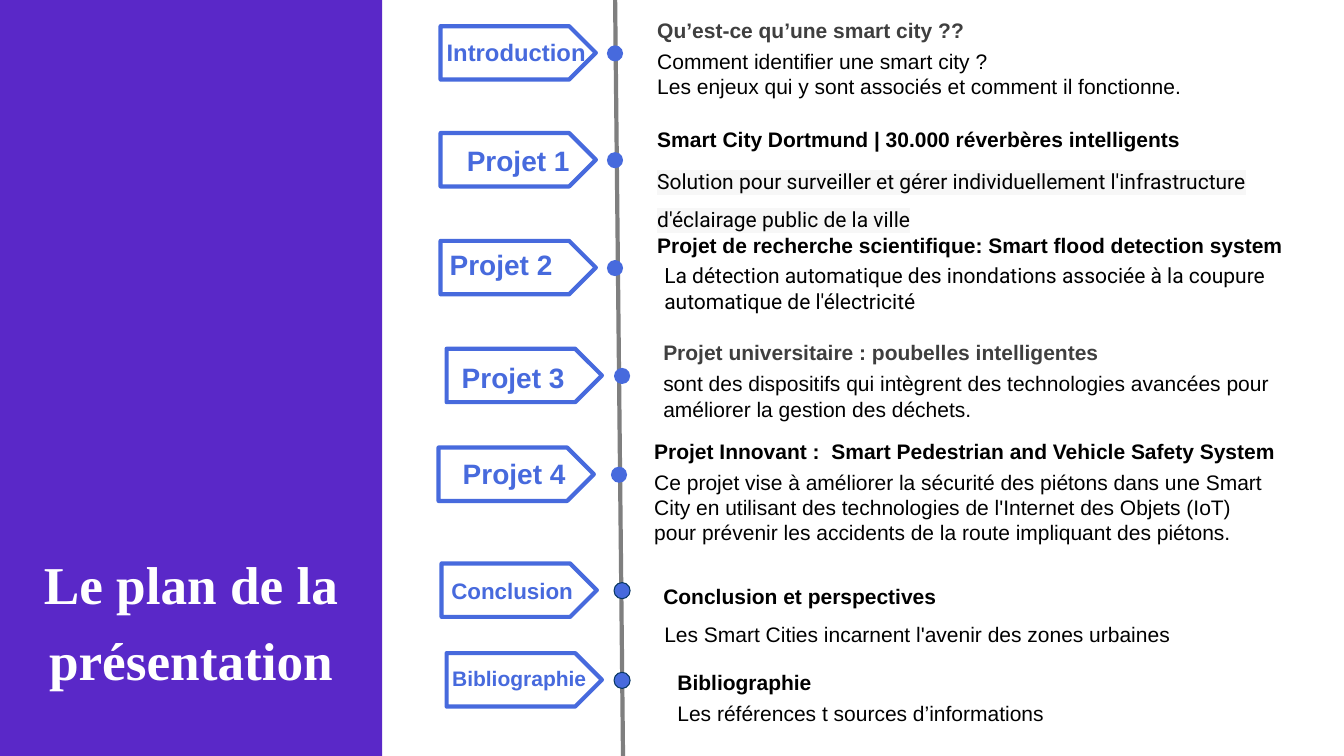
from dataclasses import dataclass

from lxml import etree
from pptx import Presentation
from pptx.dml.color import RGBColor
from pptx.enum.shapes import MSO_CONNECTOR, MSO_SHAPE
from pptx.enum.text import MSO_ANCHOR, PP_ALIGN
from pptx.oxml.ns import qn
from pptx.util import Inches, Pt

LINE = MSO_CONNECTOR.STRAIGHT
RECT, OVAL, ARROW = MSO_SHAPE.RECTANGLE, MSO_SHAPE.OVAL, MSO_SHAPE.PENTAGON
TOP, MIDDLE = MSO_ANCHOR.TOP, MSO_ANCHOR.MIDDLE
LEFT, CENTER = PP_ALIGN.LEFT, PP_ALIGN.CENTER

WHITE = RGBColor(0xFF, 0xFF, 0xFF)
BLACK = RGBColor(0x00, 0x00, 0x00)
DARK = RGBColor(0x3F, 0x3F, 0x3F)
GRAY = RGBColor(0x7F, 0x7F, 0x7F)
PALE = RGBColor(0xF7, 0xF7, 0xF7)
PURPLE = RGBColor(0x5A, 0x28, 0xC8)
BLUE = RGBColor(0x47, 0x6A, 0xDD)
NAVY = RGBColor(0x07, 0x37, 0x63)

ARROW_W, ARROW_H = 1.54, 0.53
DOT = 0.16
DOT_DROP = 0.19
TAG_H, HEAD_H = 0.44, 0.35
HEAD_W, BODY_W = 6.69, 6.32

Box = tuple[float, float, float, float]


@dataclass
class Style:
    size: float = 15
    color: RGBColor = BLACK
    bold: bool = False
    name: str = "Arial"
    align: PP_ALIGN = LEFT
    anchor: MSO_ANCHOR = TOP
    spacing: float = 1.0
    mark: RGBColor | None = None


@dataclass
class Step:
    """One stop of the timeline; tag is (left, top, width), the rest (left, top)."""
    label: str
    size: float
    tag: tuple[float, float, float]
    arrow: tuple[float, float]
    dot: float
    title: str
    head: tuple[float, float]
    text: str
    body: tuple[float, float]
    tall: float = 0.61
    tone: RGBColor = BLACK
    face: str = "Arial"
    spacing: float = 1.0
    mark: RGBColor | None = None
    edge: RGBColor | None = None


STEPS = [
    Step("Introduction", 17, (4.18, 0.33, 1.88), (4.37, 0.26), 6.02,
         "Qu’est-ce qu’une smart city ??", (6.42, 0.12),
         "Comment identifier une smart city ?\n"
         "Les enjeux qui y sont associés et comment il fonctionne.",
         (6.42, 0.43), tone=DARK),
    Step("Projet 1", 20, (4.52, 1.37, 1.24), (4.37, 1.32), 6.02,
         "Smart City Dortmund | 30.000 réverbères intelligents", (6.42, 1.21),
         "Solution pour surveiller et gérer individuellement l'infrastructure "
         "d'éclairage public de la ville",
         (6.42, 1.5), 1.18, face="Roboto", spacing=1.5, mark=PALE),
    Step("Projet 2", 20, (4.35, 2.41, 1.24), (4.37, 2.39), 6.02,
         "Projet de recherche scientifique: Smart flood detection system",
         (6.42, 2.26),
         "La détection automatique des inondations associée à la coupure "
         "automatique de l'électricité",
         (6.49, 2.56), face="Roboto"),
    Step("Projet 3", 20, (4.47, 3.53, 1.24), (4.43, 3.46), 6.09,
         "Projet universitaire : poubelles intelligentes", (6.48, 3.32),
         "sont des dispositifs qui intègrent des technologies avancées pour "
         "améliorer la gestion des déchets.",
         (6.48, 3.63), tone=DARK),
    Step("Projet 4", 20, (4.41, 4.48, 1.38), (4.35, 4.44), 6.06,
         "Projet Innovant :  Smart Pedestrian and Vehicle Safety System",
         (6.39, 4.3),
         "Ce projet vise à améliorer la sécurité des piétons dans une Smart "
         "City en utilisant des technologies de l'Internet des Objets (IoT) "
         "pour prévenir les accidents de la route impliquant des piétons.",
         (6.39, 4.61), 0.86),
    Step("Conclusion", 16, (4.31, 5.68, 1.54), (4.38, 5.59), 6.09,
         "Conclusion et perspectives", (6.48, 5.74),
         "Les Smart Cities incarnent l'avenir des zones urbaines",
         (6.49, 6.12), 0.35, edge=NAVY),
    Step("Bibliographie", 15, (4.38, 6.55, 1.54), (4.43, 6.48), 6.09,
         "Bibliographie", (6.62, 6.59),
         "Les références t sources d’informations",
         (6.62, 6.9), 0.35, edge=NAVY),
]


def add_form(slide, kind: MSO_SHAPE, box: Box, fill: RGBColor,
             edge: RGBColor | None = None, width: float = 0.75) -> None:
    form = slide.shapes.add_shape(kind, *map(Inches, box))
    form.shadow.inherit = False
    form.fill.solid()
    form.fill.fore_color.rgb = fill
    if edge is None:
        form.line.fill.background()
    else:
        form.line.color.rgb = edge
        form.line.width = Pt(width)


def add_text(slide, box: Box, text: str, style: Style) -> None:
    frame = slide.shapes.add_textbox(*map(Inches, box)).text_frame
    frame.word_wrap = True
    frame.vertical_anchor = style.anchor
    looks = {"size": Pt(style.size), "bold": style.bold, "name": style.name}
    for i, line in enumerate(text.split("\n")):
        para = frame.add_paragraph() if i else frame.paragraphs[0]
        para.alignment = style.align
        para.line_spacing = style.spacing
        run = para.add_run()
        run.text = line
        for key, value in looks.items():
            setattr(run.font, key, value)
        run.font.color.rgb = style.color
        if style.mark is not None:
            add_mark(run, style.mark)


def add_mark(run, color: RGBColor) -> None:
    """Highlight a run whose colour is already set."""
    mark = etree.Element(qn("a:highlight"))
    etree.SubElement(mark, qn("a:srgbClr"), val=str(color))
    run.font._element.find(qn("a:solidFill")).addnext(mark)


def add_axis(slide) -> None:
    ends = map(Inches, (6.1, -0.08, 6.18, 7.58))
    axis = slide.shapes.add_connector(LINE, *ends)
    axis.line.color.rgb = GRAY
    axis.line.width = Pt(3)
    etree.SubElement(axis._element.spPr, qn("a:effectLst"))


def add_step(slide, step: Step) -> None:
    add_form(slide, OVAL, (step.dot, step.arrow[1] + DOT_DROP, DOT, DOT),
             BLUE, step.edge)
    add_form(slide, ARROW, (*step.arrow, ARROW_W, ARROW_H), WHITE, BLUE, 3)
    add_text(slide, (*step.tag, TAG_H), step.label,
             Style(step.size, BLUE, True, align=CENTER))
    add_text(slide, (*step.head, HEAD_W, HEAD_H), step.title,
             Style(color=step.tone, bold=True, anchor=MIDDLE))
    add_text(slide, (*step.body, BODY_W, step.tall), step.text,
             Style(name=step.face, spacing=step.spacing, mark=step.mark))


def main() -> None:
    deck = Presentation()
    deck.slide_width, deck.slide_height = Inches(13.33), Inches(7.5)
    slide = deck.slides.add_slide(deck.slide_layouts[6])
    add_axis(slide)
    add_form(slide, RECT, (0, 0, 3.79, 7.5), PURPLE)
    add_text(slide, (0.22, 5.12, 3.35, 1.96), "Le plan de la présentation",
             Style(38, WHITE, True, "Times New Roman", CENTER, MIDDLE, 1.2))
    for step in STEPS:
        add_step(slide, step)
    deck.save("out.pptx")


if __name__ == "__main__":
    main()
